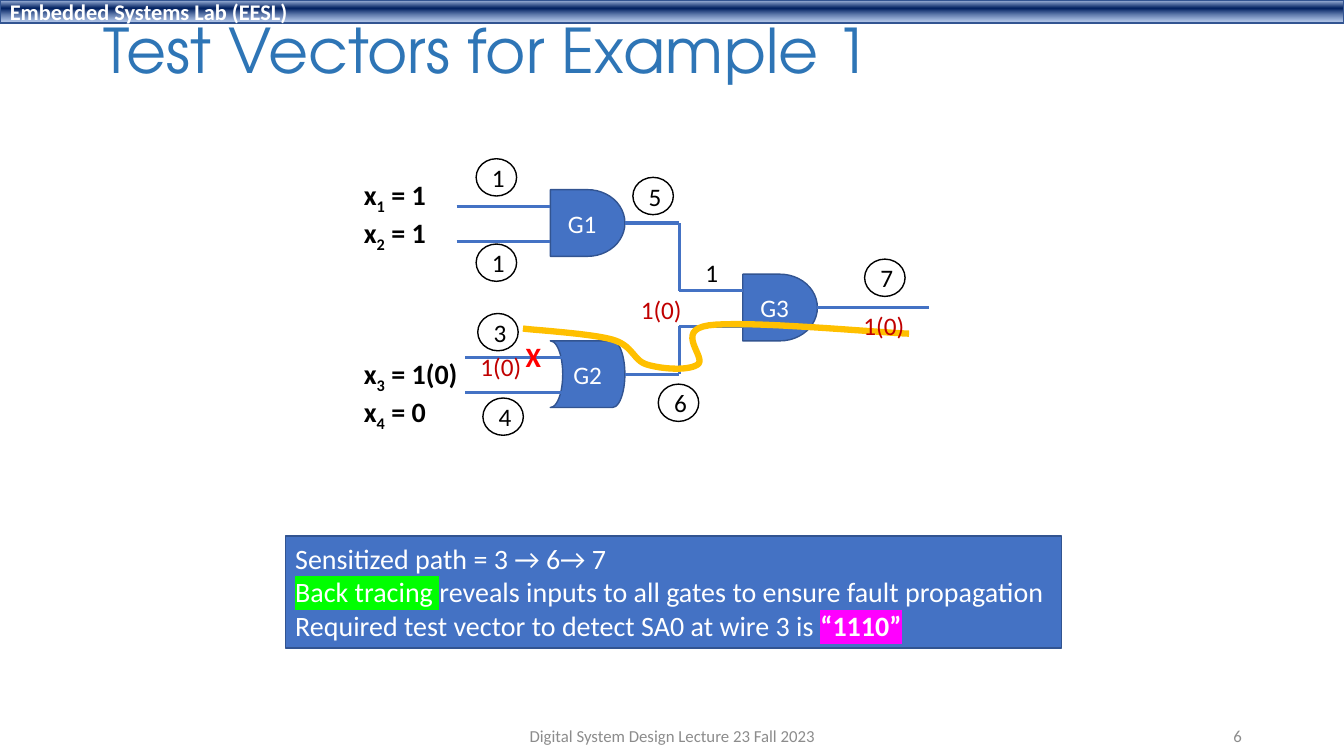
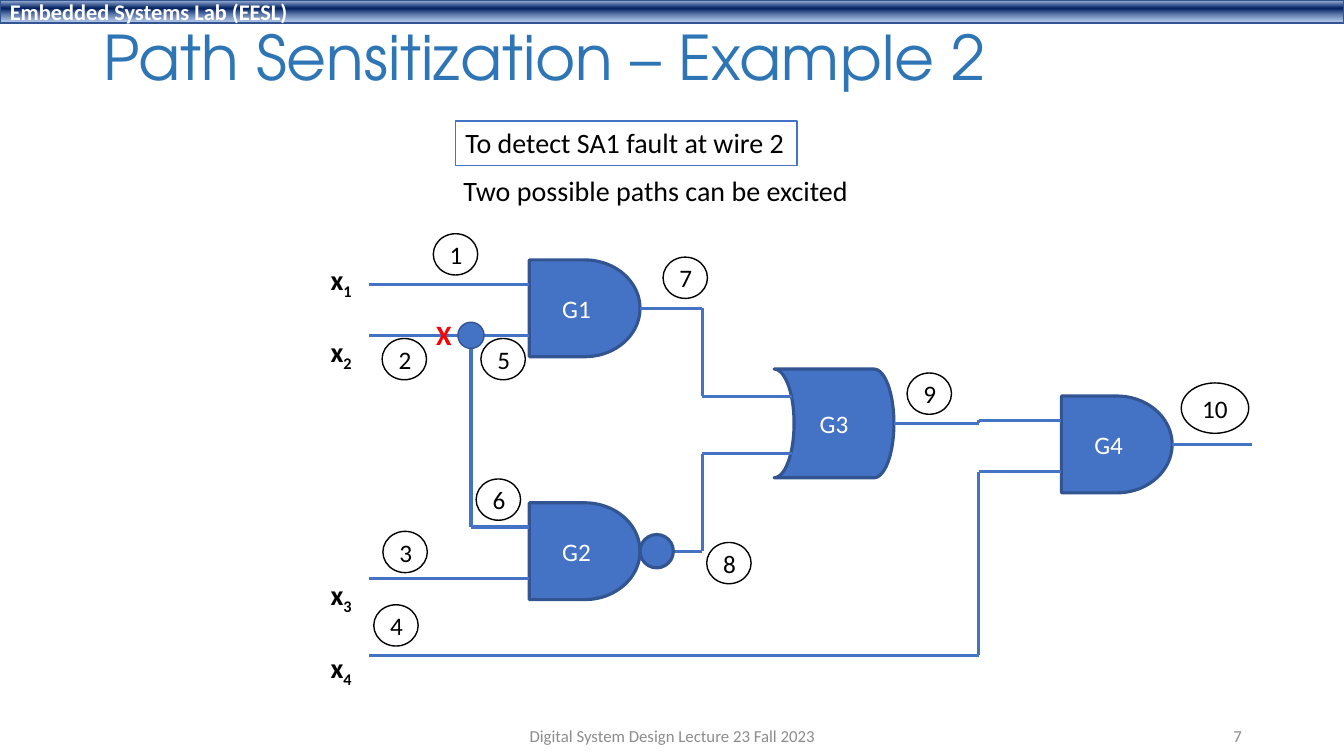
from itertools import pairwise

from lxml import etree
from pptx import Presentation
from pptx.dml.color import RGBColor
from pptx.enum.shapes import MSO_CONNECTOR, MSO_SHAPE
from pptx.enum.text import MSO_ANCHOR, PP_ALIGN
from pptx.oxml.ns import qn
from pptx.util import Cm, Pt

# Shared style
BLUE = RGBColor.from_string("4472C4")
DARK_BLUE = RGBColor.from_string("325491")
TITLE_BLUE = RGBColor.from_string("2E75B6")
WHITE = RGBColor.from_string("FFFFFF")
BLACK = RGBColor.from_string("000000")
GRAY = RGBColor.from_string("8C8C8C")
RED = RGBColor.from_string("FF0000")
DARK_RED = RGBColor.from_string("C00000")
GOLD = RGBColor.from_string("FFC000")
GREEN = RGBColor.from_string("00FF00")
MAGENTA = RGBColor.from_string("FF00FF")
BAND_STOPS = [  # position %, colour, opacity %
    (2, "ABC0E4", 100), (38, "002060", 100), (93, "7E9ED6", 64),
]
BODY_FONT, TITLE_FONT = "Calibri", "TeX Gyre Adventor"
AND, OR = MSO_SHAPE.FLOWCHART_DELAY, MSO_SHAPE.FLOWCHART_STORED_DATA
OVAL, RECTANGLE = MSO_SHAPE.OVAL, MSO_SHAPE.RECTANGLE
STRAIGHT = MSO_CONNECTOR.STRAIGHT
LEFT, CENTER, RIGHT = PP_ALIGN.LEFT, PP_ALIGN.CENTER, PP_ALIGN.RIGHT
TOP, MIDDLE = MSO_ANCHOR.TOP, MSO_ANCHOR.MIDDLE

SLIDE_WIDTH, SLIDE_HEIGHT = 33.87, 19.05
BAND_TEXT = "Embedded Systems Lab (EESL)"
FOOTER = "Digital System Design Lecture 23 Fall 2023"
LINE_HEIGHT = 24.4  # points, one line of 20 pt text
CURVE_STEPS = 16
PORTS = {"a": 0.25, "b": 0.78}  # height of the two inputs within a gate
OR_INLET = 0.15  # how far wires reach into the curved back of an OR gate

# Content: places and sizes in centimetres
SLIDES = [
    {
        "number": 6,
        "title": "Test Vectors for Example 1",
        "title_height": 1.96,
        "notes": [
            ((7.19, 13.51, 19.56), BLUE, DARK_BLUE, WHITE, [
                [("Sensitized path = 3 → 6→ 7", {})],
                [("Back tracing ", {"highlight": GREEN}),
                 ("reveals inputs to all gates to ensure fault propagation", {})],
                [("Required test vector to detect SA0 at wire 3 is ", {}),
                 ("“1110”", {"bold": True, "highlight": MAGENTA})],
            ]),
        ],
        "gate_line": 1,
        "gate_size": {AND: (1.88, 1.68), OR: (1.88, 1.68)},
        "gates": {"G1": (AND, 13.87, 4.78), "G3": (AND, 18.72, 6.91),
                  "G2": (OR, 13.87, 8.59)},
        "inputs": [(11.51, "G1a G1b"), (11.73, "G2a G2b")],
        "links": [("G1", 17.12, "G3a"), ("G2", 17.12, "G3b")],
        "outputs": [("G3", 23.42)],
        "inverted": [],
        "branches": [],
        "node_size": (1.02, 0.94),
        "nodes": [
            ("1", 12, 4), ("1", 12, 6.15), ("4", 12.17, 10.03), ("3", 12.04, 7.9),
            ("6", 16.59, 9.68), ("5", 15.95, 4.47), ("7", 21.79, 6.53),
        ],
        "path": [(13.18, 8.28), (15.44, 8.56), (16.31, 9.19),
                 (17.58, 9.19), (17.86, 8.2), (22.91, 8.41)],
        "fault": (13, 8.43),
        "values": [
            ("1(0)", DARK_RED, 11.86, 8.74), ("1(0)", DARK_RED, 15.9, 7.29),
            ("1(0)", DARK_RED, 21.51, 7.7), ("1", BLACK, 17.53, 6.35),
        ],
        "names_at": (8.92, 4.34),
        "names": [  # subscript, value, free lines above
            ("1", " = 1", 0), ("2", " = 1", 0), ("3", " = 1(0)", 3), ("4", " = 0", 0),
        ],
    },
    {
        "number": 7,
        "title": "Path Sensitization – Example 2",
        "title_height": 2.29,
        "notes": [
            ((11.43, 4.24, 10.29), None, None, BLACK,
             [[("Two possible paths can be excited", {})]]),
            ((11.48, 3.05, 8.61), WHITE, BLUE, BLACK,
             [[("To detect SA1 fault at wire 2", {})]]),
        ],
        "gate_line": 2.25,
        "gate_size": {AND: (2.79, 2.44), OR: (3.02, 2.74)},
        "gates": {"G1": (AND, 13.34, 6.55), "G3": (OR, 19.51, 9.3),
                  "G4": (AND, 26.75, 9.98), "G2": (AND, 13.34, 12.67)},
        "inputs": [(9.3, "G1a G1b G2b")],
        "links": [("G1", 17.7, "G3a"), ("G2", 17.7, "G3b"), ("G3", 24.66, "G4a"),
                  ((9.3, 16.51), 24.66, "G4b"), ((11.87, 8.45), 11.87, "G2a")],
        "outputs": [("G4", 31.55)],
        "inverted": ["G2"],
        "branches": [(11.87, 8.45)],
        "node_size": (1.12, 1.04),
        "nodes": [
            ("1", 10.92, 5.89), ("2", 9.63, 8.53), ("5", 12.12, 8.53),
            ("3", 9.65, 13.39), ("4", 9.42, 15.24), ("7", 16.71, 6.48),
            ("8", 17.81, 13.67), ("9", 22.86, 9.4), ("6", 12, 12.07),
            ("10", 29.77, 9.65, 1.7, 1.27),
        ],
        "path": [],
        "fault": (10.74, 7.87),
        "values": [],
        "names_at": (8.08, 6.48),
        "names": [("1", "", 0), ("2", "", 1), ("3", "", 6), ("4", "", 1)],
    },
]


def add_run(paragraph, text, size, color, font=BODY_FONT, bold=False,
            highlight=None, subscript=False):
    run = paragraph.add_run()
    run.text = text
    run.font.size, run.font.bold = Pt(size), bold
    run.font.color.rgb = color
    run.font.name = font
    properties = run.font._element
    if highlight is not None:
        mark = etree.Element(qn("a:highlight"))
        etree.SubElement(mark, qn("a:srgbClr"), val=str(highlight))
        properties.find(qn("a:solidFill")).addnext(mark)
    if subscript:
        properties.set("baseline", "-25000")


def write(shape, paragraphs, size, color, align=LEFT, anchor=TOP, wrap=True, **style):
    """Fill a shape with a string, or with paragraphs of (text, run options)."""
    if isinstance(paragraphs, str):
        paragraphs = [[(paragraphs, {})]]
    frame = shape.text_frame
    frame.word_wrap, frame.vertical_anchor = wrap, anchor
    for index, runs in enumerate(paragraphs):
        paragraph = frame.add_paragraph() if index else frame.paragraphs[0]
        paragraph.alignment = align
        for text, options in runs:
            add_run(paragraph, text, size, color, **{**style, **options})
    return frame


def add_text(slide, box, paragraphs, size, color, **options):
    text_box = slide.shapes.add_textbox(*map(Cm, box))
    return write(text_box, paragraphs, size, color, **options)


def paint(shape, fill, line, width):
    shape.shadow.inherit = False
    if fill is None:
        shape.fill.background()
    else:
        shape.fill.solid()
        shape.fill.fore_color.rgb = fill
    shape.line.color.rgb = line
    shape.line.width = Pt(width)


def add_shape(slide, kind, box, fill, line, width=1):
    shape = slide.shapes.add_shape(kind, *map(Cm, box))
    paint(shape, fill, line, width)
    return shape


def add_dot(slide, center, diameter, width):
    corner = [value - diameter / 2 for value in center]
    add_shape(slide, OVAL, (*corner, diameter, diameter), BLUE, DARK_BLUE, width)


def add_wire(slide, *points):
    for start, end in pairwise(points):
        if start == end:
            continue
        wire = slide.shapes.add_connector(STRAIGHT, *map(Cm, start + end))
        wire.line.color.rgb = BLUE
        wire.line.width = Pt(2.25)
        etree.SubElement(wire._element.spPr, qn("a:effectLst"))


def smooth(before, start, end, after, t):
    """Point at t on the Catmull-Rom curve from start to end."""
    return start + t / 2 * (end - before
                            + t * (2 * before - 5 * start + 4 * end - after)
                            + t * t * (3 * (start - end) + after - before))


def add_sensitized_path(slide, points):
    padded = [points[0], *points, points[-1]]
    outline = [
        tuple(Cm(smooth(*axis, step / CURVE_STEPS)) for axis in zip(*padded[first:first + 4]))
        for first in range(len(points) - 1) for step in range(1, CURVE_STEPS + 1)
    ]
    builder = slide.shapes.build_freeform(*map(Cm, points[0]))
    builder.add_line_segments(outline, close=False)
    paint(builder.convert_to_shape(), None, GOLD, 4.5)


def add_frame(slide, content):
    """Band, title, footer and slide number."""
    band = add_shape(slide, RECTANGLE, (0, 0, SLIDE_WIDTH, 0.58), BLUE, DARK_BLUE)
    band.fill.gradient()
    band.fill.gradient_angle = 270
    stops = band._element.spPr.find(qn("a:gradFill")).find(qn("a:gsLst"))
    stops.clear()
    for position, color, opacity in BAND_STOPS:
        stop = etree.SubElement(stops, qn("a:gs"), pos=str(position * 1000))
        tone = etree.SubElement(stop, qn("a:srgbClr"), val=color)
        etree.SubElement(tone, qn("a:alpha"), val=str(opacity * 1000))
    write(band, BAND_TEXT, 16, WHITE, anchor=MIDDLE, bold=True)

    title = add_text(slide, (2.35, 0.38, 29.21, content["title_height"]),
                     content["title"], 44, TITLE_BLUE, anchor=MIDDLE, font=TITLE_FONT)
    title.paragraphs[0].line_spacing = 0.9
    for text, left, width, align in [(FOOTER, 11.23, 11.43, CENTER),
                                     (str(content["number"]), 23.93, 7.62, RIGHT)]:
        add_text(slide, (left, 18.02, width, 1.02), text, 12, GRAY,
                 align=align, anchor=MIDDLE)


def add_notes(slide, notes):
    for place, fill, line, color, paragraphs in notes:
        box = (*place, 0.27 + 0.85 * len(paragraphs))
        if fill is None:
            add_text(slide, box, paragraphs, 20, color, wrap=False)
        else:
            note = add_shape(slide, RECTANGLE, box, fill, line)
            write(note, paragraphs, 20, color, wrap=False)


def add_circuit(slide, content):
    gates, sizes = content["gates"], content["gate_size"]

    def output_of(name):
        kind, left, top = gates[name]
        width, height = sizes[kind]
        return left + width, top + height / 2

    def input_of(port):
        kind, left, top = gates[port[:-1]]
        width, height = sizes[kind]
        inlet = width * OR_INLET if kind == OR else 0
        return left + inlet, top + height * PORTS[port[-1]]

    # Gates
    for name, (kind, left, top) in gates.items():
        gate = add_shape(slide, kind, (left, top, *sizes[kind]), BLUE, DARK_BLUE,
                         content["gate_line"])
        write(gate, name, 18, WHITE, align=CENTER, anchor=MIDDLE)
        if kind == OR:
            gate._element.spPr.xfrm.set("flipH", "1")

    # Wires, inverter bubbles and branch points
    for start, ports in content["inputs"]:
        for port in ports.split():
            x, y = input_of(port)
            add_wire(slide, (start, y), (x, y))
    for source, bend, port in content["links"]:
        start = output_of(source) if source in gates else source
        end = input_of(port)
        add_wire(slide, start, (bend, start[1]), (bend, end[1]), end)
    for name, end in content["outputs"]:
        x, y = output_of(name)
        add_wire(slide, (x, y), (end, y))
    for name in content["inverted"]:
        x, y = output_of(name)
        add_dot(slide, (x + 0.42, y), 0.84, content["gate_line"])
    for point in content["branches"]:
        add_dot(slide, point, 0.66, 1)

    # Wire numbers, sensitized path, fault and signal values
    for name, left, top, *size in content["nodes"]:
        box = (left, top, *(size or content["node_size"]))
        node = add_shape(slide, OVAL, box, None, BLACK)
        write(node, name, 18, BLACK, align=CENTER, anchor=MIDDLE)
    if content["path"]:
        add_sensitized_path(slide, content["path"])
    add_text(slide, (*content["fault"], 1, 1.12), "X", 20, RED, bold=True)
    for text, color, left, top in content["values"]:
        add_text(slide, (left, top, 1.7, 1.02), text, 18, color)

    # Input names
    names = [[("x", {}), (index, {"subscript": True})] + ([(value, {})] if value else [])
             for index, value, _ in content["names"]]
    frame = add_text(slide, (*content["names_at"], 3.5, 6.25), names, 20, BLACK, bold=True)
    for paragraph, (_, _, free_lines) in zip(frame.paragraphs, content["names"]):
        paragraph.space_before = Pt(free_lines * LINE_HEIGHT)


def main():
    presentation = Presentation()
    presentation.slide_width, presentation.slide_height = Cm(SLIDE_WIDTH), Cm(SLIDE_HEIGHT)
    for content in SLIDES:
        slide = presentation.slides.add_slide(presentation.slide_layouts[6])
        add_frame(slide, content)
        add_notes(slide, content["notes"])
        add_circuit(slide, content)
    presentation.save("out.pptx")


if __name__ == "__main__":
    main()
